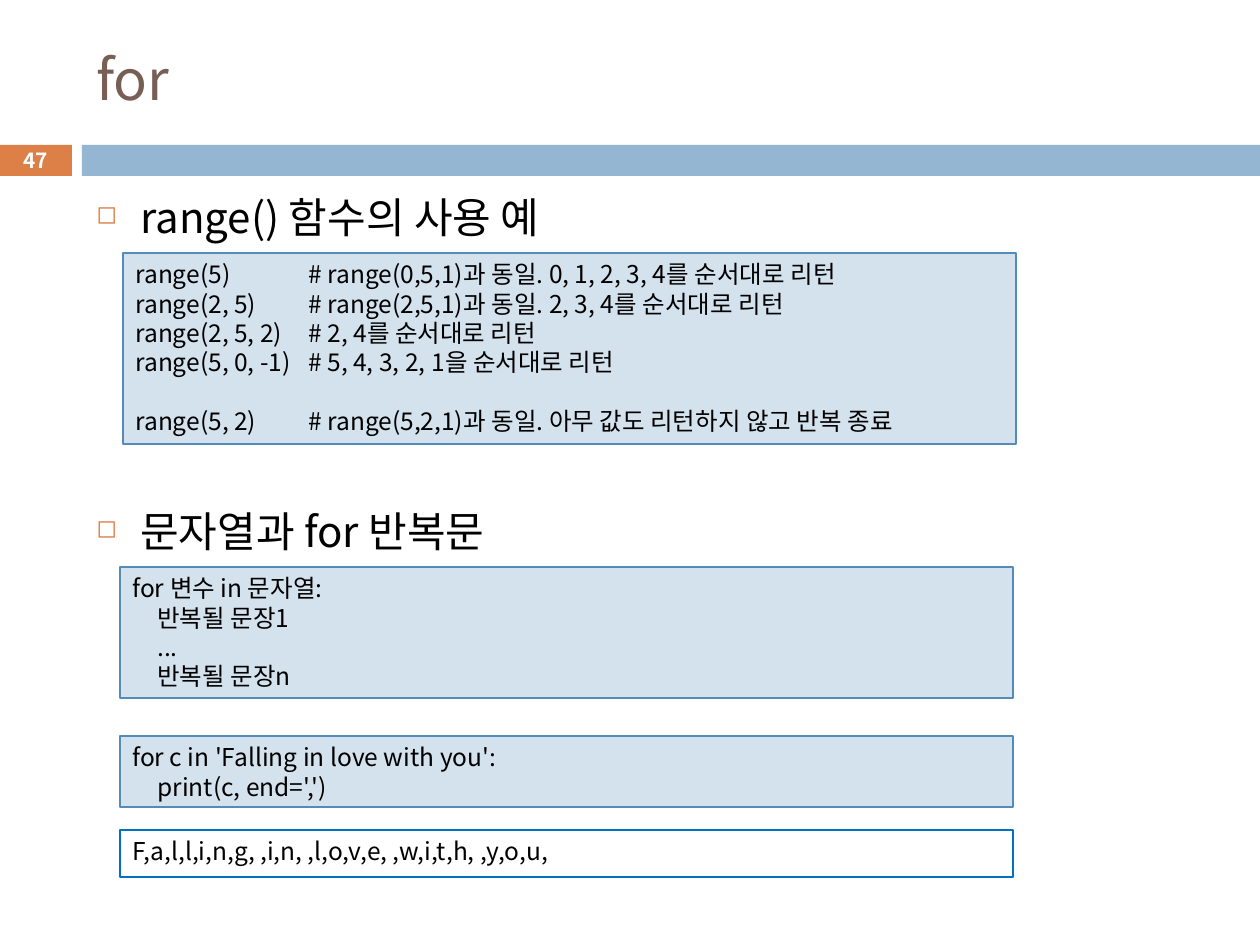
from lxml import etree
from pptx import Presentation, util as u
from pptx.dml.color import RGBColor
from pptx.enum import shapes, text
from pptx.oxml.ns import qn

SCALE = 914400 / 126
FONT = "Noto Sans CJK KR"
BLACK = RGBColor(0, 0, 0)
WHITE = RGBColor(0xFF, 0xFF, 0xFF)
BROWN = RGBColor(0x77, 0x5F, 0x55)
ORANGE = RGBColor(0xDD, 0x80, 0x47)
BLUE = RGBColor(0x94, 0xB6, 0xD2)
PALE = RGBColor(0xD4, 0xE2, 0xED)
EDGE = RGBColor(0x55, 0x8B, 0xB8)
OUTPUT_EDGE = RGBColor(0x00, 0x70, 0xC0)

RANGE_CODE = [
    "range(5)\t# range(0,5,1)과 동일. 0, 1, 2, 3, 4를 순서대로 리턴",
    "range(2, 5)\t# range(2,5,1)과 동일. 2, 3, 4를 순서대로 리턴",
    "range(2, 5, 2)\t# 2, 4를 순서대로 리턴",
    "range(5, 0, -1)\t# 5, 4, 3, 2, 1을 순서대로 리턴",
    "range(5, 2)\t# range(5,2,1)과 동일. 아무 값도 리턴하지 않고 반복 종료",
]
FOR_SYNTAX = ["for 변수 in 문자열:", "\t반복될 문장1", "\t...", "\t반복될 문장n"]
FOR_CODE = ["for c in 'Falling in love with you':", "\tprint(c, end=',')"]
FOR_OUTPUT = ["F,a,l,l,i,n,g, ,i,n, ,l,o,v,e, ,w,i,t,h, ,y,o,u,"]


def px(n):
    return u.Emu(round(n * SCALE))


def add_rect(s, box, fill=None, line=None):
    sp = s.shapes.add_shape(shapes.MSO_SHAPE.RECTANGLE, *map(px, box))
    sp.shadow.inherit = False
    if fill is None:
        sp.fill.background()
    else:
        sp.fill.solid()
        sp.fill.fore_color.rgb = fill
    if line is None:
        sp.line.fill.background()
    else:
        sp.line.color.rgb = line
        sp.line.width = u.Pt(0.75)
    return sp


def add_textbox(s, box, anchor):
    tf = s.shapes.add_textbox(*map(px, box)).text_frame
    tf.word_wrap = True
    tf.vertical_anchor = anchor
    return tf


def format_text(tf, size, color, bold=False, align=text.PP_ALIGN.LEFT):
    for p in tf.paragraphs:
        p.alignment = align
        p.line_spacing = u.Pt(round(size * 1.2, 1))
        for r in p.runs:
            r.font.name = FONT
            r.font.size = u.Pt(size)
            r.font.bold = bold
            r.font.color.rgb = color
            etree.SubElement(r.font._element, qn("a:ea"), typeface=FONT)


def add_title(s, box, title):
    tf = add_textbox(s, box, text.MSO_ANCHOR.MIDDLE)
    tf.text = title
    format_text(tf, 32, BROWN)


def add_band(s, box, number):
    x, y, w, h = box
    tf = add_rect(s, (x, y, 72, h), ORANGE).text_frame
    tf.margin_left = tf.margin_right = tf.margin_top = tf.margin_bottom = 0
    tf.vertical_anchor = text.MSO_ANCHOR.MIDDLE
    tf.text = number
    format_text(tf, 11.9, WHITE, True, text.PP_ALIGN.CENTER)
    add_rect(s, (x + 82, y, w - 82, h), BLUE)


def add_headings(s, box, headings, gap):
    tf = add_textbox(s, box, text.MSO_ANCHOR.TOP)
    tf.text = "\n".join(headings)
    format_text(tf, 24, BLACK)
    for p in tf.paragraphs:
        pPr = p._p.get_or_add_pPr()
        pPr.set("marL", str(px(44)))
        pPr.set("indent", str(px(-44)))
        color = etree.SubElement(pPr, qn("a:buClr"))
        etree.SubElement(color, qn("a:srgbClr"), val=str(ORANGE))
        etree.SubElement(pPr, qn("a:buSzPct"), val="60000")
        etree.SubElement(pPr, qn("a:buChar"), char="◻")
    for p in tf.paragraphs[1:]:
        p.space_before = px(gap)


def add_code(s, box, lines, tab=25, fill=PALE, line=EDGE):
    tf = add_rect(s, box, fill, line).text_frame
    tf.word_wrap = True
    tf.vertical_anchor = text.MSO_ANCHOR.TOP
    tf.text = "\n".join(lines)
    format_text(tf, 14, BLACK)
    for p in tf.paragraphs:
        tabs = etree.SubElement(p._p.get_or_add_pPr(), qn("a:tabLst"))
        etree.SubElement(tabs, qn("a:tab"), pos=str(px(tab)), algn="l")
    return tf


def main():
    prs = Presentation()
    prs.slide_width, prs.slide_height = px(1260), px(945)
    s = prs.slides.add_slide(prs.slide_layouts[6])
    add_band(s, (0, 145, 1260, 31), "47")
    add_title(s, (84, 32, 1124, 93), "for")
    add_headings(s, (84, 185, 1124, 694),
                 ["range() 함수의 사용 예", "문자열과 for 반복문"], 264)
    tf = add_code(s, (123, 253, 893, 191), RANGE_CODE, tab=173)
    tf.paragraphs[-1].space_before = u.Pt(16.8)
    add_code(s, (120, 567, 893, 131), FOR_SYNTAX)
    add_code(s, (120, 736, 893, 71), FOR_CODE)
    add_code(s, (120, 830, 893, 47), FOR_OUTPUT, fill=None, line=OUTPUT_EDGE)
    prs.save("out.pptx")


if __name__ == "__main__":
    main()
